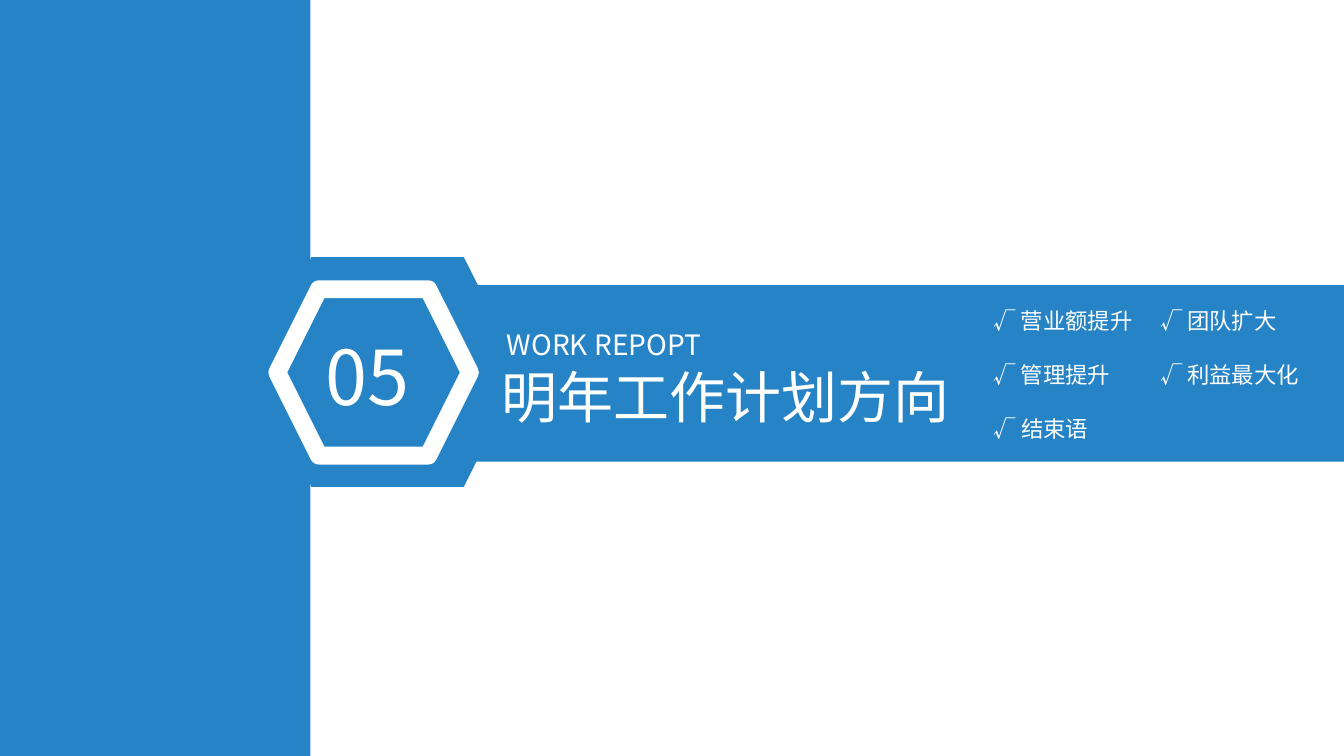
from dataclasses import dataclass

from lxml.etree import SubElement
from pptx import Presentation
from pptx.dml.color import RGBColor
from pptx.enum.shapes import MSO_SHAPE as Preset
from pptx.enum.text import MSO_ANCHOR as Anchor, MSO_AUTO_SIZE as AutoSize, PP_ALIGN as Align
from pptx.oxml.ns import qn
from pptx.shapes.base import BaseShape
from pptx.slide import Slide
from pptx.util import Inches, Pt

COLOURS = {"blue": "2683C6", "white": "FFFFFF"}
FONT = "Noto Sans CJK SC"
WIDTH, HEIGHT = Inches(13.333), Inches(7.5)

# Agenda grid, in percent of the slide
AGENDA_LEFT, AGENDA_TOP = 73.2, 40
COLUMN_STEP, ROW_STEP, ROW_HEIGHT = 12.38, 7.13, 4.93
CHARACTER_WIDTH, AGENDA_PADDING = 1.67, 3.75
AGENDA = [["营业额提升", "管理提升", "结束语"], ["团队扩大", "利益最大化"]]


@dataclass
class Area:
    """A rectangle in percent of the slide's width and height."""
    left: float
    top: float
    width: float
    height: float

    def lengths(self) -> tuple[int, int, int, int]:
        return (int(WIDTH * self.left / 100), int(HEIGHT * self.top / 100),
                int(WIDTH * self.width / 100), int(HEIGHT * self.height / 100))


@dataclass
class Panel:
    preset: Preset
    area: Area
    border: float = 0


@dataclass
class Label:
    text: str
    area: Area
    size: int
    align: Align = Align.LEFT


PANELS = [
    Panel(Preset.RECTANGLE, Area(0, 0, 23.1, 100)),
    Panel(Preset.HEXAGON, Area(18.9, 34, 19.88, 30.4)),
    Panel(Preset.RECTANGLE, Area(32.33, 37.73, 67.67, 23.33)),
    Panel(Preset.HEXAGON, Area(20.63, 38.27, 14.33, 22), border=12.75),
]
TITLE = Label("明年工作计划方向", Area(36.6, 47.33, 35.18, 10.27), 40)
LABELS = [
    Label("05", Area(23.48, 42.93, 9, 13.47), 54, Align.JUSTIFY),
    Label("WORK REPOPT", Area(36.98, 42.67, 19.95, 5.87), 20),
]


def colour(name: str) -> RGBColor:
    return RGBColor.from_string(COLOURS[name])


def draw_panel(page: Slide, panel: Panel) -> None:
    shape = page.shapes.add_shape(panel.preset, *panel.area.lengths())
    shape.shadow.inherit = False
    shape.fill.solid()
    shape.fill.fore_color.rgb = colour("blue")
    if panel.border:
        shape.line.color.rgb = colour("white")
        shape.line.width = Pt(panel.border)
    else:
        shape.line.fill.background()


def write_label(box: BaseShape, label: Label) -> None:
    box.left, box.top, box.width, box.height = label.area.lengths()
    frame = box.text_frame
    frame.text = label.text
    frame.word_wrap = False
    frame.auto_size = AutoSize.SHAPE_TO_FIT_TEXT
    frame.vertical_anchor = Anchor.TOP
    para = frame.paragraphs[0]
    para.alignment = label.align
    for span in para.runs:
        span.font.name = FONT
        span.font.size = Pt(label.size)
        span.font.color.rgb = colour("white")
        # East Asian characters take their own typeface
        SubElement(span.font._element, qn("a:ea")).set("typeface", FONT)


def agenda_label(text: str, column: int, row: int) -> Label:
    area = Area(AGENDA_LEFT + column * COLUMN_STEP, AGENDA_TOP + row * ROW_STEP,
                AGENDA_PADDING + len(text) * CHARACTER_WIDTH, ROW_HEIGHT)
    return Label(f"√ {text}", area, 16)


def main() -> None:
    deck = Presentation()
    deck.slide_width, deck.slide_height = WIDTH, HEIGHT
    page = deck.slides.add_slide(deck.slide_layouts.get_by_name("Title Only"))

    # Blue panels and the number badge
    for panel in PANELS:
        draw_panel(page, panel)

    # Title, brought in front of the panels
    title = page.shapes.title
    write_label(title, TITLE)
    title.element.getparent().append(title.element)

    # Number, subtitle and agenda
    agenda = [agenda_label(text, column, row)
              for column, texts in enumerate(AGENDA)
              for row, text in enumerate(texts)]
    for label in LABELS + agenda:
        write_label(page.shapes.add_textbox(*label.area.lengths()), label)

    deck.save("out.pptx")


if __name__ == "__main__":
    main()
